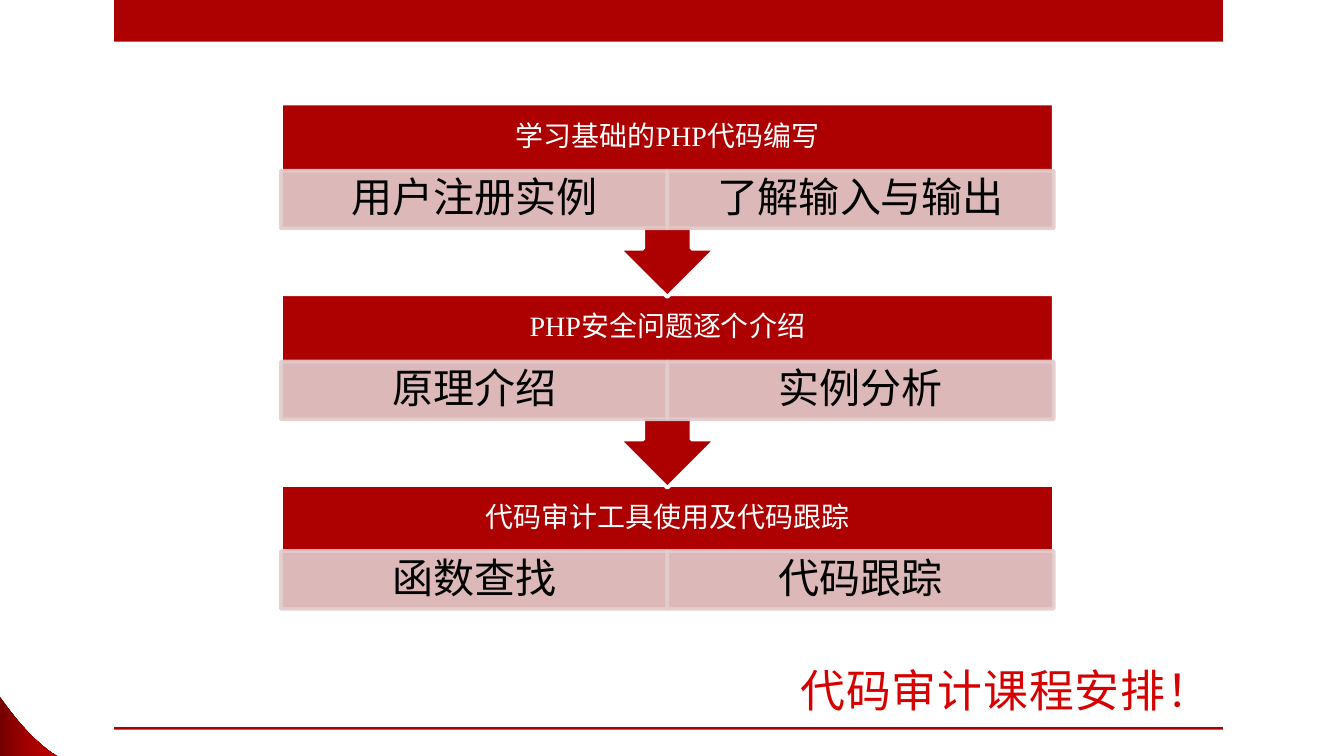
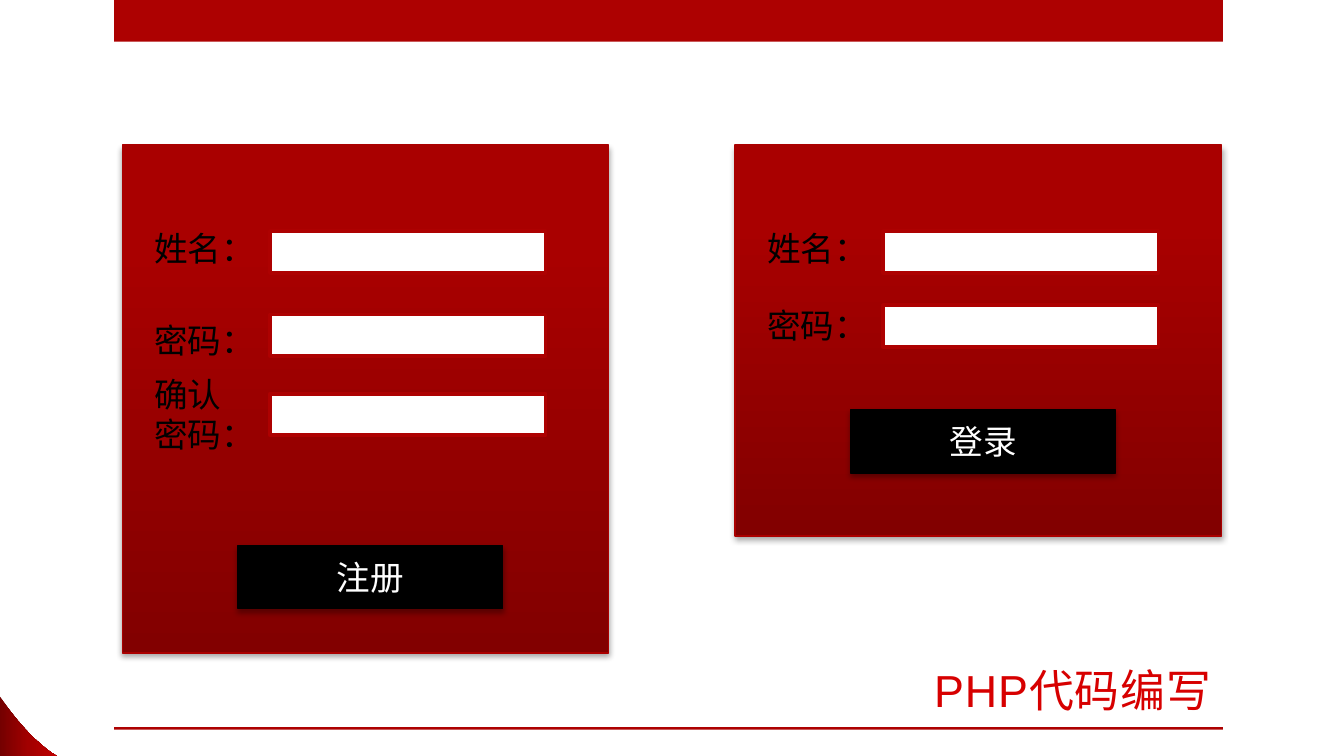
from pptx import Presentation
from pptx.dml.color import RGBColor
from pptx.enum.shapes import MSO_SHAPE as Shape
from pptx.enum.text import MSO_ANCHOR as Anchor, MSO_AUTO_SIZE as AutoSize, PP_ALIGN as Align
from pptx.oxml import parse_xml
from pptx.oxml.ns import nsdecls, qn
from pptx.util import Inches, Pt

RED, WHITE, BLACK = "AD0101", "FFFFFF", "000000"
TITLE_RED, PALE, PANEL_EDGE = "D70000", "E3CCCC", "AA0000"
CORNER_STOPS = [(0, "720000"), (50, "A20000"), (100, "C00000")]
PANEL_STOPS = [(0, "820000"), (80, "A90000"), (100, "A90000")]
SERIF, SANS = "Times New Roman", "Arial"

PLAN_TITLE = "代码审计课程安排！"
# Each step: header, details, top of the details below the step
STEPS = [
    ("学习基础的PHP代码编写", ["用户注册实例", "了解输入与输出"], 0.5),
    ("PHP安全问题逐个介绍", ["原理介绍", "实例分析"], 0.5),
    ("代码审计工具使用及代码跟踪", ["函数查找", "代码跟踪"], 0.49),
]

FORMS_TITLE = "PHP代码编写"
# Each row: label, label top, label height, field top
FORMS = [
    {"left": 0.91, "height": 3.78, "button": ("注册", 4.06),
     "rows": [("姓名：", 1.65, 0.4, 1.72),
              ("密码：", 2.33, 0.4, 2.34),
              ("确认\n密码：", 2.73, 0.71, 2.93)]},
    {"left": 5.47, "height": 2.91, "button": ("登录", 3.05),
     "rows": [("姓名：", 1.65, 0.4, 1.72),
              ("密码：", 2.22, 0.4, 2.27)]},
]


def color(value):
    return RGBColor.from_string(value)


def write(shape, text, size=18, font=SERIF, fill=BLACK, align=Align.LEFT,
          anchor=Anchor.TOP, insets=(0.1, 0.05), wrap=True, line_spacing=None,
          tracking=None):
    """Fill a shape with text, one paragraph per line."""
    frame = shape.text_frame
    frame.word_wrap = wrap
    frame.vertical_anchor = anchor
    frame.margin_left = frame.margin_right = Inches(insets[0])
    frame.margin_top = frame.margin_bottom = Inches(insets[1])
    for index, line in enumerate(text.split("\n")):
        paragraph = frame.add_paragraph() if index else frame.paragraphs[0]
        paragraph.alignment = align
        if line_spacing:
            paragraph.line_spacing = line_spacing
        run = paragraph.add_run()
        run.text = line
        run.font.size = Pt(size)
        run.font.name = font
        run.font.color.rgb = color(fill)
        if tracking:
            run.font._element.set("spc", str(int(tracking * 100)))


def add_text(slide, box, text, **text_format):
    shape = slide.shapes.add_textbox(*map(Inches, box))
    write(shape, text, **text_format)
    return shape


def add_block(slide, box, fill, line=None, width=2, kind=Shape.RECTANGLE):
    shape = slide.shapes.add_shape(kind, *map(Inches, box))
    shape.shadow.inherit = False
    shape.fill.solid()
    shape.fill.fore_color.rgb = color(fill)
    if line:
        shape.line.color.rgb = color(line)
        shape.line.width = Pt(width)
    else:
        shape.line.fill.background()
    return shape


def set_gradient(shape, stops, angle):
    shape.fill.solid()
    stop_xml = "".join(
        f'<a:gs pos="{position * 1000}"><a:srgbClr val="{value}"/></a:gs>'
        for position, value in stops)
    gradient = parse_xml(
        f'<a:gradFill {nsdecls("a")} rotWithShape="1"><a:gsLst>{stop_xml}</a:gsLst>'
        f'<a:lin ang="{angle * 60000}" scaled="0"/></a:gradFill>')
    properties = shape._element.spPr
    properties.replace(properties.find(qn("a:solidFill")), gradient)


def set_opacity(shape, percent):
    """Apply one opacity to both the fill and the line."""
    for node in shape._element.spPr.iter(qn("a:srgbClr")):
        node.append(parse_xml(f'<a:alpha {nsdecls("a")} val="{percent * 1000}"/>'))


def add_shadow(shape):
    effects = shape._element.spPr.find(qn("a:effectLst"))
    effects.append(parse_xml(
        f'<a:outerShdw {nsdecls("a")} blurRad="{Pt(3.1)}" dist="{Pt(1.8)}" '
        'dir="5400000" rotWithShape="0"><a:srgbClr val="000000">'
        '<a:alpha val="35000"/></a:srgbClr></a:outerShdw>'))


def add_corner(slide):
    """Draw the curved wedge at the bottom left."""
    controls = [(0.43, 5.63), (0.43, 5.63), (0.23, 5.53), (-0.01, 5.17)]
    points = []
    steps = 24
    for step in range(steps + 1):
        t = step / steps
        weights = [(1 - t) ** 3, 3 * t * (1 - t) ** 2, 3 * t ** 2 * (1 - t), t ** 3]
        points.append(tuple(
            Inches(sum(weight * point[axis] for weight, point in zip(weights, controls)))
            for axis in (0, 1)))
    builder = slide.shapes.build_freeform(Inches(-0.01), Inches(5.63))
    builder.add_line_segments(points, close=True)
    corner = builder.convert_to_shape()
    corner.shadow.inherit = False
    corner.line.fill.background()
    set_gradient(corner, CORNER_STOPS, 0)


def add_slide(presentation, title):
    slide = presentation.slides.add_slide(presentation.slide_layouts[6])
    for top, height in [(0, 0.31), (5.41, 0.02)]:
        add_block(slide, (0.85, top, 8.25, height), RED)
    add_corner(slide)
    add_text(slide, (1.69, 4.86, 7.42, 0.52), title, size=24, font=SANS,
             fill=TITLE_RED, align=Align.RIGHT, anchor=Anchor.BOTTOM, tracking=0.5)
    return slide


def add_steps(slide):
    left, first_top, pitch, width = 2.09, 0.77, 1.42, 5.75
    centred = {"align": Align.CENTER, "anchor": Anchor.MIDDLE, "line_spacing": 0.9}
    last = len(STEPS) - 1
    # Bottom step first, so each arrow lies over the step below it
    for index in range(last, -1, -1):
        header, details, detail_offset = STEPS[index]
        top = first_top + index * pitch
        if index == last:
            add_block(slide, (left, top, width, 0.93), RED, WHITE)
        else:
            callout = add_block(slide, (left, top, width, 1.44), RED, WHITE,
                                kind=Shape.UP_ARROW_CALLOUT)
            callout.rotation = 180
        add_text(slide, (left, top, width, 0.5), header, size=15,
                 fill=WHITE, insets=(0.12, 0.12), **centred)
        cell_width = width / len(details)
        for column, detail in enumerate(details):
            cell = add_block(slide, (left + column * cell_width, top + detail_offset,
                                     cell_width, 0.43), PALE, PALE)
            set_opacity(cell, 90)
            write(cell, detail, size=22, insets=(0.17, 0.03), **centred)


def add_form(slide, form):
    left = form["left"]
    panel = add_block(slide, (left, 1.08, 3.62, form["height"]), RED, PANEL_EDGE, 0.75)
    set_gradient(panel, PANEL_STOPS, 270)
    add_shadow(panel)
    for label, label_top, label_height, field_top in form["rows"]:
        add_block(slide, (left + 1.1, field_top, 2.05, 0.31), WHITE, RED)
        box = add_text(slide, (left + 0.14, label_top, 0.96, label_height), label, wrap=False)
        box.text_frame.auto_size = AutoSize.SHAPE_TO_FIT_TEXT
    caption, top = form["button"]
    button = add_block(slide, (left + 0.86, top, 1.97, 0.47), BLACK, BLACK, 0.75)
    add_shadow(button)
    write(button, caption, fill=WHITE, align=Align.CENTER, anchor=Anchor.MIDDLE)


def main():
    presentation = Presentation()
    presentation.slide_width = Inches(10)
    presentation.slide_height = Inches(10) * 9 // 16
    add_steps(add_slide(presentation, PLAN_TITLE))
    forms_slide = add_slide(presentation, FORMS_TITLE)
    for form in FORMS:
        add_form(forms_slide, form)
    presentation.save("out.pptx")


if __name__ == "__main__":
    main()
